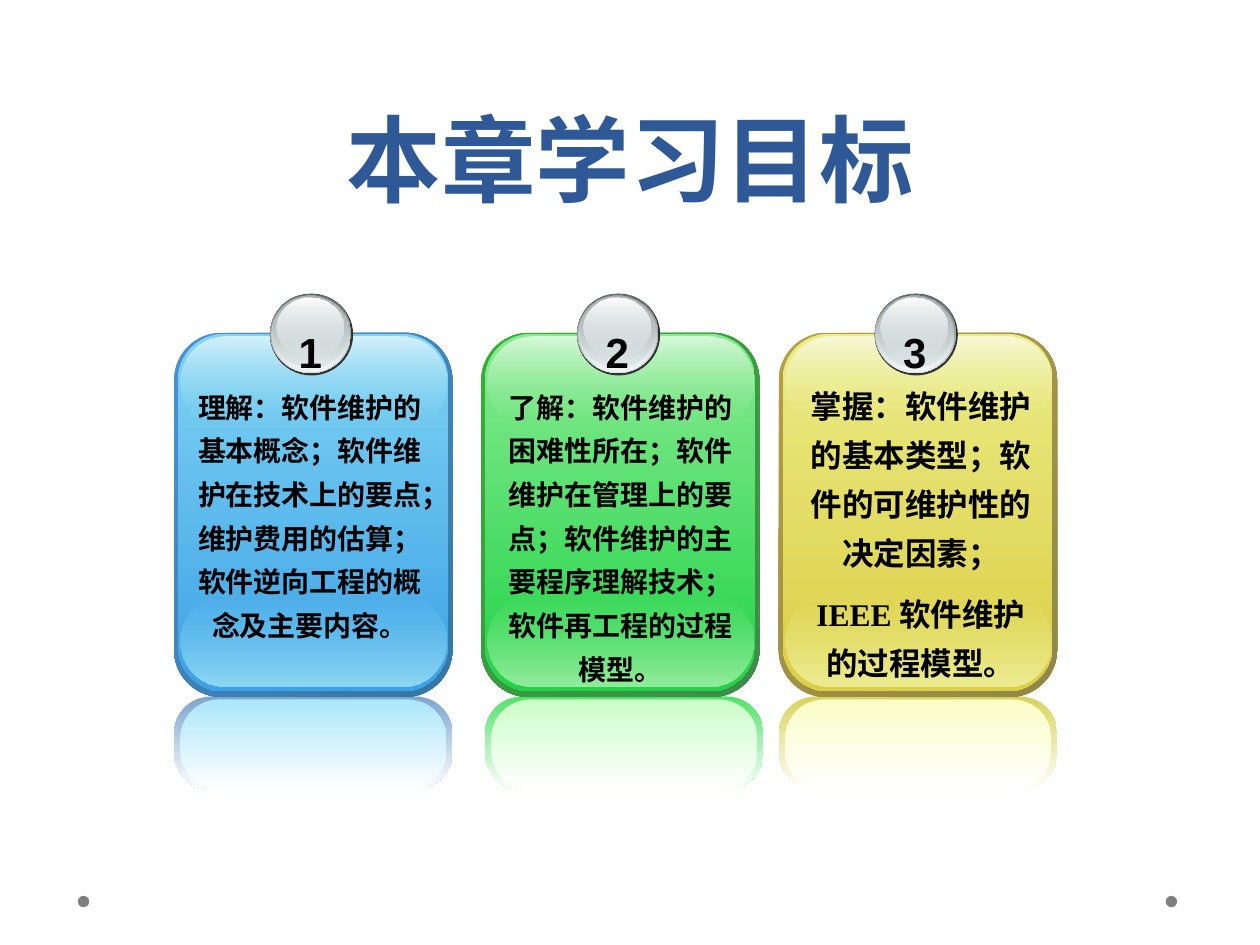
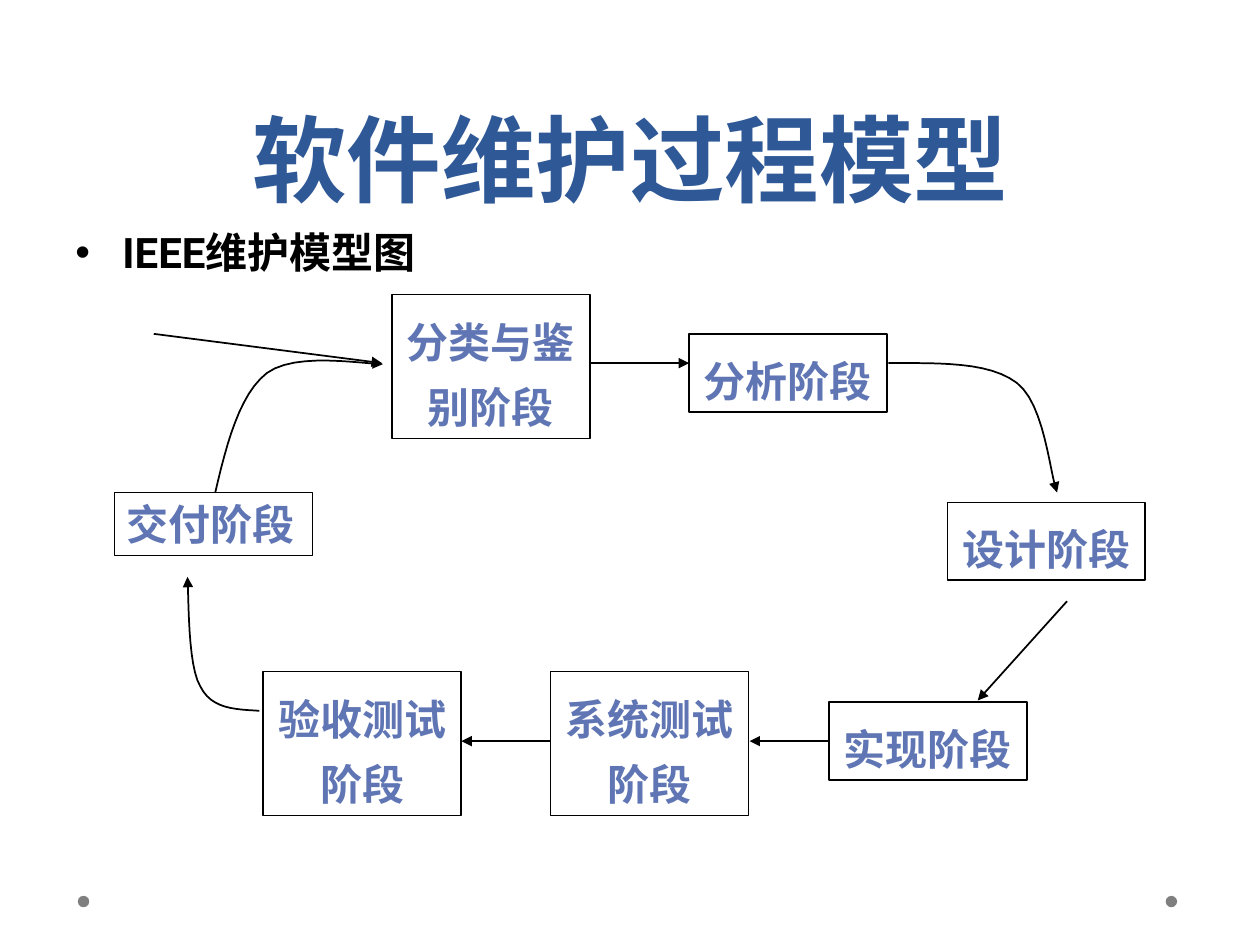
from lxml.etree import SubElement
from pptx import Presentation
from pptx.dml.color import RGBColor
from pptx.enum.shapes import MSO_CONNECTOR, MSO_SHAPE
from pptx.enum.text import MSO_ANCHOR, MSO_AUTO_SIZE, PP_ALIGN
from pptx.oxml.ns import qn
from pptx.util import Cm, Pt

COLORS = {
    "title": "2F5897", "ink": "000000", "step": "6076B4", "dot": "7F7F7F",
    "edge": "333333", "dark": "636869", "gray": "AAB2B3", "pale": "D6E1E2",
    "light": "F1F5F5", "white": "FFFFFF",
    "blue rim": "4E91D4", "blue rim end": "3477A4", "blue face": "80D4F2",
    "blue face end": "3CA1E6", "blue foot": "8FD9F4", "blue gloss": "D5F1FB",
    "blue mirror": "7EA5D0", "blue glow": "ACE7FA",
    "green rim": "34B034", "green rim end": "3F8B4A", "green face": "88EA91",
    "green face end": "21D347", "green foot": "96ED9E", "green gloss": "D7F8DA",
    "green mirror": "52E26A", "green glow": "CBFDC7",
    "gold rim": "B59F43", "gold rim end": "8F8849", "gold face": "EAEC86",
    "gold face end": "DCCE46", "gold foot": "EDEE95", "gold gloss": "F8F9D7",
    "gold mirror": "D7D45D", "gold glow": "FAFDC7",
}
SANS, SERIF = "Roboto", "Times New Roman"
ROUND, OVAL = MSO_SHAPE.ROUNDED_RECTANGLE, MSO_SHAPE.OVAL

# Tone, left, shift of the reflection, text box (inset, top, width, height), size, gap, text
CARDS = [
    ("blue", 3.51, 0, (0.07, 7.54, 5.33, 5.54), 16, 6,
     ["理解：软件维护的基本概念；软件维护在技术上的要点；维护费用的估算；"
      "软件逆向工程的概念及主要内容。"]),
    ("green", 9.7, 0.08, (0.23, 7.54, 5.16, 6.43), 16, 6,
     ["了解：软件维护的困难性所在；软件维护在管理上的要点；"
      "软件维护的主要程序理解技术；软件再工程的过程模型。"]),
    ("gold", 15.7, 0, (0.2, 7.44, 5.33, 6.45), 18, 6.8,
     ["掌握：软件维护的基本类型；软件的可维护性的决定因素；",
      "IEEE 软件维护的过程模型。"]),
]
# Inset, drop, width, height, first and last colour with opacity
RINGS = [
    (0.01, 0, 1.63, 1.6, ("dark", 100), ("pale", 100)),
    (0.03, 0.02, 1.57, 1.55, ("pale", 0), ("light", 100)),
    (0.06, 0.03, 1.5, 1.45, ("gray", 100), ("pale", 48)),
    (0.13, 0.08, 1.35, 1.19, ("white", 100), ("pale", 38)),
]
STEP_W = 3.99
STEPS = [
    ("分类与鉴别阶段", 7.9, 5.94, 2.9),
    ("分析阶段", 13.89, 6.73, 1.57),
    ("设计阶段", 19.1, 10.13, 1.57),
    ("实现阶段", 16.71, 14.15, 1.57),
    ("系统测试阶段", 11.1, 13.54, 2.9),
    ("验收测试阶段", 5.31, 13.54, 2.9),
]
ARROWS = [
    (3.1, 6.73, 7.7, 7.32),
    (11.91, 7.32, 13.89, 7.32),
    (21.51, 12.12, 19.71, 14.12),
    (16.71, 14.94, 15.11, 14.94),
    (11.1, 14.94, 9.3, 14.94),
]
# Each curve is two Bézier arcs that share their middle point
CURVES = [
    [(17.91, 7.32), (18.92, 7.32), (19.94, 7.29), (20.5, 7.72),
     (21.06, 8.15), (21.16, 9.53), (21.31, 9.93)],
    [(5.23, 14.33), (4.75, 14.3), (4.27, 14.3), (4.04, 13.84),
     (3.78, 13.41), (3.81, 12.04), (3.78, 11.63)],
    [(4.34, 9.93), (4.57, 8.94), (4.83, 7.95), (5.38, 7.52),
     (5.97, 7.09), (7.32, 7.34), (7.72, 7.34)],
]


def color(name):
    return RGBColor.from_string(COLORS[name])


def bend(a, b, c, d, count=12):
    """Points along a cubic Bézier arc, without its start."""
    for t in (i / count for i in range(1, count + 1)):
        u = 1 - t
        yield tuple(Cm(u**3 * p + 3 * u * u * t * q + 3 * u * t * t * r + t**3 * s)
                    for p, q, r, s in zip(a, b, c, d))


class Deck:
    def __init__(self):
        self.prs = Presentation()
        self.prs.slide_width, self.prs.slide_height = Cm(25.4), Cm(19.05)
        self.slide = None

    def page(self, title):
        self.slide = self.prs.slides.add_slide(self.prs.slide_layouts[5])
        for x in (23.5, 1.57):
            self.shape(OVAL, x, 18.06, 0.23, 0.23, "dot")
        head = self.slide.shapes.title
        head.left, head.top, head.width, head.height = Cm(1.27), Cm(0), Cm(22.86), Cm(4.45)
        self.label(head, [title], 54, SANS, "title", anchor=MSO_ANCHOR.BOTTOM, line=Pt(58))

    def label(self, shape, texts, size, font, tint="ink", align=PP_ALIGN.CENTER,
              anchor=MSO_ANCHOR.TOP, line=1.3, gap=0, wrap=True, bullet=None):
        frame = shape.text_frame
        frame.word_wrap, frame.auto_size = wrap, MSO_AUTO_SIZE.NONE
        frame.vertical_anchor = anchor
        for i, text in enumerate(texts):
            para = frame.add_paragraph() if i else frame.paragraphs[0]
            para.text, para.alignment, para.line_spacing = text, align, line
            if i:
                para.space_before = Pt(gap)
            if bullet:
                self.mark(para, bullet)
            para.font.size, para.font.name, para.font.bold = Pt(size), font, True
            para.font.color.rgb = color(tint)

    def mark(self, para, sign):
        """Give a paragraph a bullet with a hanging indent."""
        props = para._p.get_or_add_pPr()
        props.set("marL", str(Cm(0.95)))
        props.set("indent", str(Cm(-0.95)))
        SubElement(props, qn("a:buFont"), typeface="Arial")
        SubElement(props, qn("a:buChar"), char=sign)

    def text(self, x, y, w, h, texts, size, font, **style):
        box = self.slide.shapes.add_textbox(Cm(x), Cm(y), Cm(w), Cm(h))
        self.label(box, texts, size, font, **style)

    def shape(self, kind, x, y, w, h, fill=None, bend=None):
        shape = self.slide.shapes.add_shape(kind, Cm(x), Cm(y), Cm(w), Cm(h))
        shape.shadow.inherit = False
        shape.line.fill.background()
        if fill:
            shape.fill.solid()
            shape.fill.fore_color.rgb = color(fill)
        else:
            shape.fill.background()
        if bend is not None:
            shape.adjustments[0] = bend
        return shape

    def fade(self, kind, x, y, w, h, first, last, bend=None, angle=270):
        """Draw a shape with a gradient between two (colour, opacity) pairs."""
        shape = self.shape(kind, x, y, w, h, bend=bend)
        shape.fill.gradient()
        shape.fill.gradient_angle = angle
        nodes = shape.element.iter(qn("a:gs"))
        for stop, node, (name, alpha) in zip(shape.fill.gradient_stops, nodes, (first, last)):
            stop.color.rgb = color(name)
            if alpha < 100:
                SubElement(node[0], qn("a:alpha"), val=str(alpha * 1000))

    def stroke(self, shape, tip=True):
        shape.line.color.rgb, shape.line.width = color("ink"), Pt(1)
        if tip:
            line = shape.element.spPr.find(qn("a:ln"))
            SubElement(line, qn("a:tailEnd"), type="triangle")

    def step(self, text, x, y, h, **style):
        box = self.shape(MSO_SHAPE.RECTANGLE, x, y, STEP_W, h)
        self.stroke(box, tip=False)
        self.label(box, [text], 24, SERIF, "step", anchor=MSO_ANCHOR.MIDDLE, **style)

    def arrow(self, *ends):
        line = self.slide.shapes.add_connector(MSO_CONNECTOR.STRAIGHT, *map(Cm, ends))
        self.stroke(line)
        SubElement(line.element.spPr, qn("a:effectLst"))

    def curve(self, dots):
        pen = self.slide.shapes.build_freeform(*map(Cm, dots[0]))
        pen.add_line_segments([*bend(*dots[:4]), *bend(*dots[3:])], close=False)
        shape = pen.convert_to_shape()
        shape.shadow.inherit = False
        shape.fill.background()
        self.stroke(shape)

    def knob(self, x, y, number):
        self.shape(OVAL, x, y, 1.68, 1.65, "edge")
        for dx, dy, w, h, first, last in RINGS:
            self.fade(OVAL, x + dx, y + dy, w, h, first, last)
        self.text(x + 0.33, y + 0.23, 0.97, 1.57, [number], 24, "Arial", wrap=False)

    def card(self, number, tone, x, shift, box, size, gap, texts):
        def tint(part, alpha=100):
            return f"{tone} {part}", alpha

        white, clear = ("white", 100), tint("face", 0)
        inner = x + 0.13
        self.fade(ROUND, x + shift, 14.04, 5.61, 1.88, tint("mirror"), white, 0.4)
        self.fade(ROUND, x, 6.71, 5.61, 7.34, tint("rim"), tint("rim end"), 0.17, 315)
        self.fade(ROUND, x + 0.08, 6.73, 5.44, 7.21, tint("face"), tint("face end"), 0.17)
        self.fade(ROUND, inner, 12.01, 5.36, 1.83, clear, tint("foot"), 0.5)
        self.fade(ROUND, inner, 6.78, 5.36, 1.83, tint("gloss"), clear, 0.5)
        self.fade(ROUND, inner + shift, 14.1, 5.36, 1.83, tint("glow"), white, 0.43)
        self.knob(x + 1.93, 5.92, number)
        dx, y, w, h = box
        self.text(x + dx, y, w, h, texts, size, SERIF, gap=gap)


def main():
    deck = Deck()

    deck.page("本章学习目标")
    for number, card in enumerate(CARDS, 1):
        deck.card(str(number), *card)

    deck.page("软件维护过程模型")
    deck.text(1.27, 4.45, 22.86, 1.3, ["IEEE维护模型图"], 24, SANS,
              align=PP_ALIGN.LEFT, line=1, bullet="•")
    for step in STEPS:
        deck.step(*step)
    deck.step("交付阶段", 2.31, 9.93, 1.27, align=PP_ALIGN.LEFT, line=1)
    for ends in ARROWS:
        deck.arrow(*ends)
    for dots in CURVES:
        deck.curve(dots)

    deck.prs.save("out.pptx")


if __name__ == "__main__":
    main()
